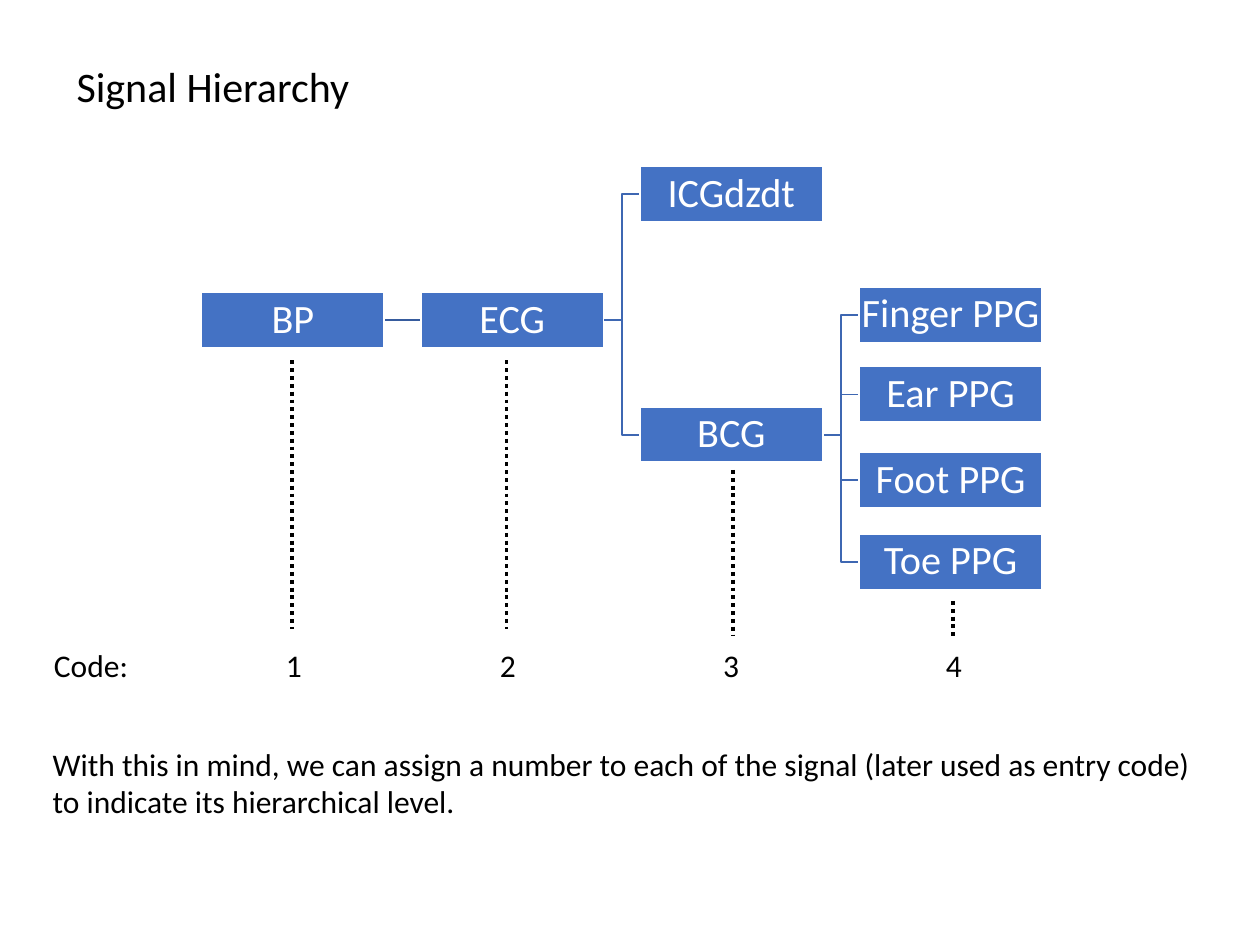
from dataclasses import dataclass
from typing import Any

import pptx
import pptx.dml.color
import pptx.enum.dml
import pptx.enum.shapes
import pptx.enum.text
import pptx.oxml
import pptx.util

BLACK = pptx.dml.color.RGBColor(0x00, 0x00, 0x00)
WHITE = pptx.dml.color.RGBColor(0xFF, 0xFF, 0xFF)
NODE_BLUE = pptx.dml.color.RGBColor(0x44, 0x72, 0xC4)
BRANCH_BLUE = pptx.dml.color.RGBColor(0x3E, 0x67, 0xB2)
TRUNK_BLUE = pptx.dml.color.RGBColor(0x36, 0x5B, 0x9D)

TREE_LEFT, COLUMN_STEP = 1.6, 1.74
NODE_WIDTH, NODE_HEIGHT = 1.45, 0.44
GAP = COLUMN_STEP - NODE_WIDTH
CODE_TOP, CODE_WIDTH, LABEL_HEIGHT = 5.08, 0.43, 0.4
INSET = pptx.util.Inches(0.02)
NODE_FRAME = {
    "margin_left": INSET,
    "margin_right": INSET,
    "margin_top": INSET,
    "margin_bottom": INSET,
    "vertical_anchor": pptx.enum.text.MSO_ANCHOR.MIDDLE,
    "word_wrap": False,
}
NODE_PARA = {"alignment": pptx.enum.text.PP_ALIGN.CENTER, "line_spacing": 0.9}


@dataclass(frozen=True)
class Node:
    name: str
    column: int
    middle: float

    @property
    def left(self) -> float:
        return TREE_LEFT + self.column * COLUMN_STEP

    @property
    def right(self) -> float:
        return self.left + NODE_WIDTH


@dataclass(frozen=True)
class Level:
    code: str
    label_left: float
    guide_x: float
    guide_top: float
    guide_bottom: float


@dataclass(frozen=True)
class Label:
    text: str
    left: float
    top: float
    width: float
    height: float
    size: float = 18


BP = Node("BP", 0, 2.54)
ECG = Node("ECG", 1, 2.54)
ICG = Node("ICGdzdt", 2, 1.54)
BCG = Node("BCG", 2, 3.45)
PPGS = [
    Node("Finger PPG", 3, 2.5),
    Node("Ear PPG", 3, 3.13),
    Node("Foot PPG", 3, 3.81),
    Node("Toe PPG", 3, 4.46),
]
BRANCHES = [(BCG, ppg) for ppg in PPGS] + [(ECG, BCG), (ECG, ICG)]
LEVELS = [
    Level("1", 2.17, 2.32, 2.86, 4.99),
    Level("2", 3.87, 4.02, 2.86, 4.99),
    Level("3", 5.64, 5.82, 3.73, 5.05),
    Level("4", 7.41, 7.56, 4.77, 5.05),
]
LABELS = [
    Label("Signal Hierarchy", 0.51, 0.43, 9.06, 0.5, 24),
    Label("Code:", 0.33, CODE_TOP, 1.49, LABEL_HEIGHT),
    Label(
        "With this in mind, we can assign a number to each of the signal "
        "(later used as entry code) to indicate its hierarchical level.",
        0.32, 5.86, 9.25, 0.71,
    ),
]


def inches(*lengths: float) -> list[int]:
    return [pptx.util.Inches(length) for length in lengths]


def apply_format(target: Any, values: dict[str, Any]) -> None:
    for name, value in values.items():
        setattr(target, name, value)


def write_text(shape: Any, text: str, size: float, color: Any) -> Any:
    para = shape.text_frame.paragraphs[0]
    span = para.add_run()
    span.text = text
    apply_format(
        span.font, {"name": "Calibri", "size": pptx.util.Pt(size)}
    )
    span.font.color.rgb = color
    return para


def draw_label(page: Any, label: Label) -> None:
    box = page.shapes.add_textbox(
        *inches(label.left, label.top, label.width, label.height)
    )
    box.text_frame.word_wrap = True
    write_text(box, label.text, label.size, BLACK)


def draw_node(page: Any, node: Node) -> None:
    box = page.shapes.add_shape(
        pptx.enum.shapes.MSO_SHAPE.RECTANGLE,
        *inches(
            node.left, node.middle - NODE_HEIGHT / 2, NODE_WIDTH, NODE_HEIGHT
        ),
    )
    box.shadow.inherit = False
    box.fill.solid()
    box.fill.fore_color.rgb = NODE_BLUE
    box.line.color.rgb = WHITE
    box.line.width = pptx.util.Pt(1)
    apply_format(box.text_frame, NODE_FRAME)
    apply_format(write_text(box, node.name, 23, WHITE), NODE_PARA)


def draw_branch(page: Any, parent: Node, child: Node) -> None:
    elbow = parent.right + GAP / 2
    corners = [
        (elbow, parent.middle),
        (elbow, child.middle),
        (child.left, child.middle),
    ]
    builder = page.shapes.build_freeform(*inches(parent.right, parent.middle))
    builder.add_line_segments([inches(*corner) for corner in corners], close=False)
    branch = builder.convert_to_shape()
    branch.shadow.inherit = False
    branch.fill.background()
    branch.line.color.rgb = BRANCH_BLUE
    branch.line.width = pptx.util.Pt(1)


def draw_line(
    page: Any, start: tuple, end: tuple, color: Any, width: float
) -> Any:
    line = page.shapes.add_connector(
        pptx.enum.shapes.MSO_CONNECTOR.STRAIGHT, *inches(*start, *end)
    )
    line.line.color.rgb = color
    line.line.width = pptx.util.Pt(width)
    properties = line.element.spPr
    properties.append(pptx.oxml.parse_xml(
        '<a:effectLst xmlns:a='
        '"http://schemas.openxmlformats.org/drawingml/2006/main"/>'
    ))
    return line


def draw_level(page: Any, level: Level) -> None:
    guide = draw_line(
        page,
        (level.guide_x, level.guide_top),
        (level.guide_x, level.guide_bottom),
        BLACK,
        2.25,
    )
    guide.line.dash_style = pptx.enum.dml.MSO_LINE.ROUND_DOT
    draw_label(
        page,
        Label(level.code, level.label_left, CODE_TOP, CODE_WIDTH, LABEL_HEIGHT),
    )


def main() -> None:
    deck = pptx.Presentation()
    deck.slide_width, deck.slide_height = inches(10, 7.5)
    page = deck.slides.add_slide(deck.slide_layouts[6])
    for parent, child in BRANCHES:
        draw_branch(page, parent, child)
    draw_line(page, (BP.right, BP.middle), (ECG.left, ECG.middle), TRUNK_BLUE, 1)
    for node in [BP, ECG, ICG, BCG, *PPGS]:
        draw_node(page, node)
    for level in LEVELS:
        draw_level(page, level)
    for label in LABELS:
        draw_label(page, label)
    deck.save("out.pptx")


if __name__ == "__main__":
    main()
